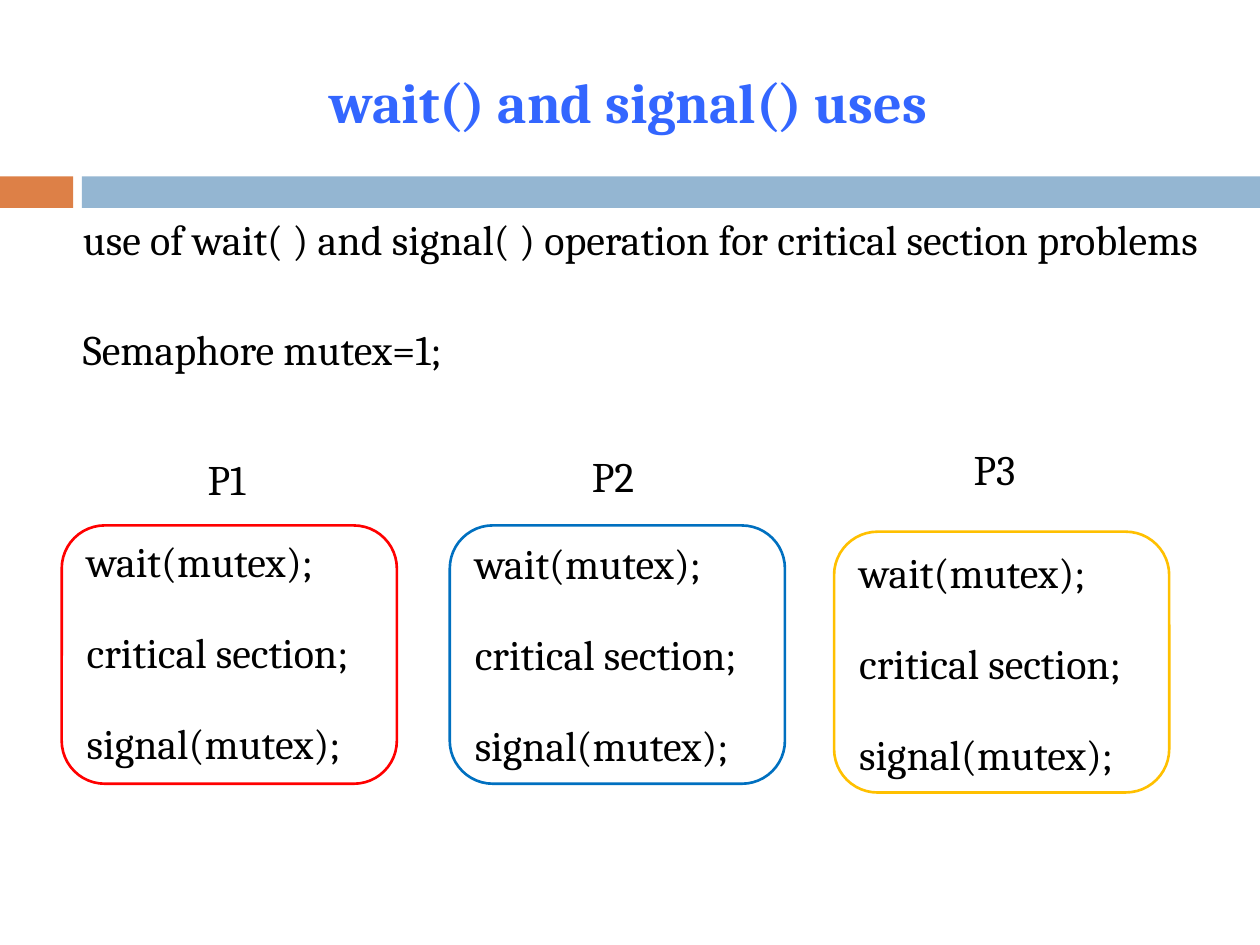
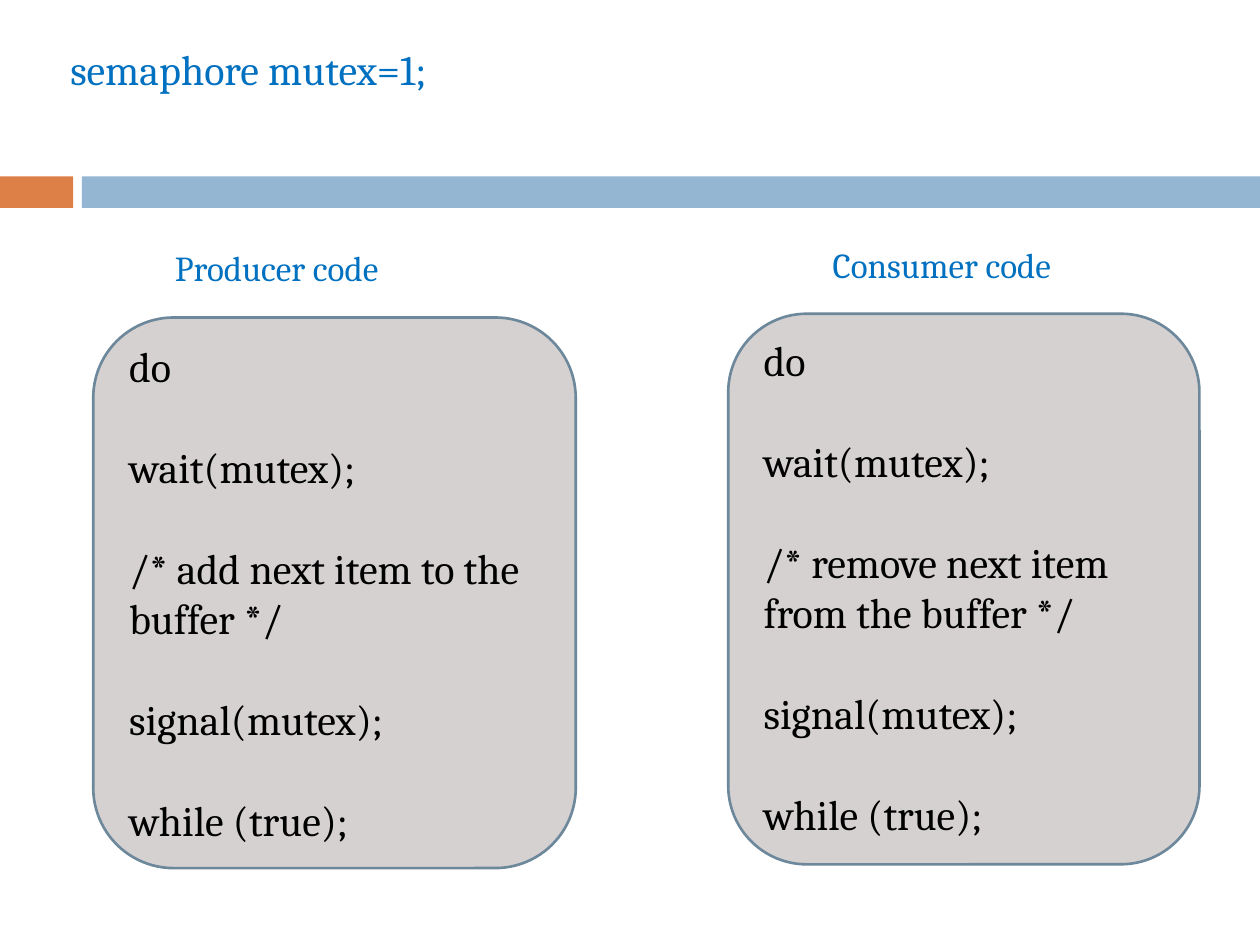
from pptx import Presentation
from pptx.dml.color import RGBColor
from pptx.enum.shapes import MSO_SHAPE
from pptx.enum.text import MSO_ANCHOR, PP_ALIGN
from pptx.util import Inches, Pt

RECTANGLE = MSO_SHAPE.RECTANGLE
ROUNDED = MSO_SHAPE.ROUNDED_RECTANGLE
TOP, MIDDLE = MSO_ANCHOR.TOP, MSO_ANCHOR.MIDDLE
LEFT, CENTER = PP_ALIGN.LEFT, PP_ALIGN.CENTER

FONT = "Cambria"
BLACK, WHITE, BLUE, TITLE_BLUE = "000000", "FFFFFF", "0070C0", "3366FF"
BANDS = [((0, 1.4, 0.58, 0.25), "DD8047"), ((0.65, 1.4, 9.35, 0.25), "94B6D2")]
CODE_FILL, CODE_LINE = "D5D1D1", "6D879B"

PROCESS_CODE = ["wait(mutex);", "critical section;", "signal(mutex);"]
PROCESSES = [
    ("P1", (1.55, 3.55), (0.49, 4.17, 2.66, 2.05), "FF0000", 0),
    ("P2", (4.6, 3.53), (3.57, 4.17, 2.66, 2.05), BLUE, 0.02),
    ("P3", (7.63, 3.47), (6.62, 4.22, 2.66, 2.07), "FFC000", 0.03),
]
ROLES = [
    ("Producer code", (1.29, 1.91), (0.74, 2.52, 3.83, 4.37),
     "/* add next item to the buffer */", 0),
    ("Consumer code", (6.51, 1.88), (5.78, 2.49, 3.74, 4.37),
     "/* remove next item from the buffer */", -0.02),
]


def color(value):
    """Turn a hex string into a colour."""
    return RGBColor.from_string(value)


def write(shape, lines, anchor=TOP, nudge=0, alignment=LEFT, spacing=1.0, gap=0, **font):
    """Fill a shape with paragraphs, moved down by nudge inches."""
    frame = shape.text_frame
    layout = {"word_wrap": True, "vertical_anchor": anchor,
              "margin_left": Inches(0.1), "margin_right": Inches(0.1),
              "margin_top": Inches(0.05 + nudge), "margin_bottom": Inches(0.05 - nudge)}
    for name, value in layout.items():
        setattr(frame, name, value)
    style = {"name": FONT, "size": Pt(24), "bold": False} | font
    text_color = style.pop("color", BLACK)
    for index, line in enumerate(lines):
        paragraph = frame.paragraphs[0] if index == 0 else frame.add_paragraph()
        paragraph.alignment = alignment
        paragraph.line_spacing = spacing
        paragraph.space_before = Pt(gap if index else 0)
        run = paragraph.add_run()
        run.text = line
        for name, value in style.items():
            setattr(run.font, name, value)
        run.font.color.rgb = color(text_color)


def add_text(slide, box, lines, **style):
    """Add a text box."""
    write(slide.shapes.add_textbox(*map(Inches, box)), lines, **style)


def add_block(slide, kind, box, fill, line=None):
    """Add a flat filled shape, outlined if a line colour is given."""
    shape = slide.shapes.add_shape(kind, *map(Inches, box))
    shape.shadow.inherit = False
    shape.fill.solid()
    shape.fill.fore_color.rgb = color(fill)
    if line:
        shape.line.color.rgb = color(line)
        shape.line.width = Pt(1.5)
    else:
        shape.line.fill.background()
    return shape


def add_banded_slide(presentation):
    """Add a blank slide with the two coloured bands."""
    slide = presentation.slides.add_slide(presentation.slide_layouts[6])
    for box, fill in BANDS:
        add_block(slide, RECTANGLE, box, fill)
    return slide


def add_process(slide, name, corner, box, line, nudge):
    """Add one process name and its outlined code card."""
    add_text(slide, (*corner, 0.6, 0.5), [name])
    card = add_block(slide, ROUNDED, box, WHITE, line)
    write(card, PROCESS_CODE, anchor=MIDDLE, nudge=nudge, spacing=0.9, gap=26)


def add_role(slide, name, corner, box, comment, nudge):
    """Add one role heading and its grey code card."""
    add_text(slide, (*corner, 2.29, 0.44), [name], size=Pt(20), color=BLUE)
    card = add_block(slide, ROUNDED, box, CODE_FILL, CODE_LINE)
    code = ["do", "wait(mutex);", comment, "signal(mutex);", "while (true);"]
    write(card, code, anchor=MIDDLE, nudge=nudge, gap=28.8)


def build_uses_slide(presentation):
    """Show three processes sharing one mutex."""
    slide = add_banded_slide(presentation)
    add_text(slide, (0.23, 0.42, 9.52, 0.77), ["wait() and signal() uses"], anchor=MIDDLE,
             alignment=CENTER, size=Pt(32), bold=True, color=TITLE_BLUE)
    add_text(slide, (0.56, 1.69, 9.19, 1.5),
             ["use of wait( ) and signal( ) operation for critical section problems",
              "Semaphore mutex=1;"], spacing=0.9, gap=37)
    for process in PROCESSES:
        add_process(slide, *process)


def build_roles_slide(presentation):
    """Show producer and consumer code side by side."""
    slide = add_banded_slide(presentation)
    add_text(slide, (0.46, 0.3, 9.5, 0.5), ["semaphore mutex=1;"], color=BLUE)
    for role in ROLES:
        add_role(slide, *role)


def main():
    """Build and save the presentation."""
    presentation = Presentation()
    presentation.slide_width = Inches(10)
    presentation.slide_height = Inches(7.5)
    build_uses_slide(presentation)
    build_roles_slide(presentation)
    presentation.save("out.pptx")


if __name__ == "__main__":
    main()
